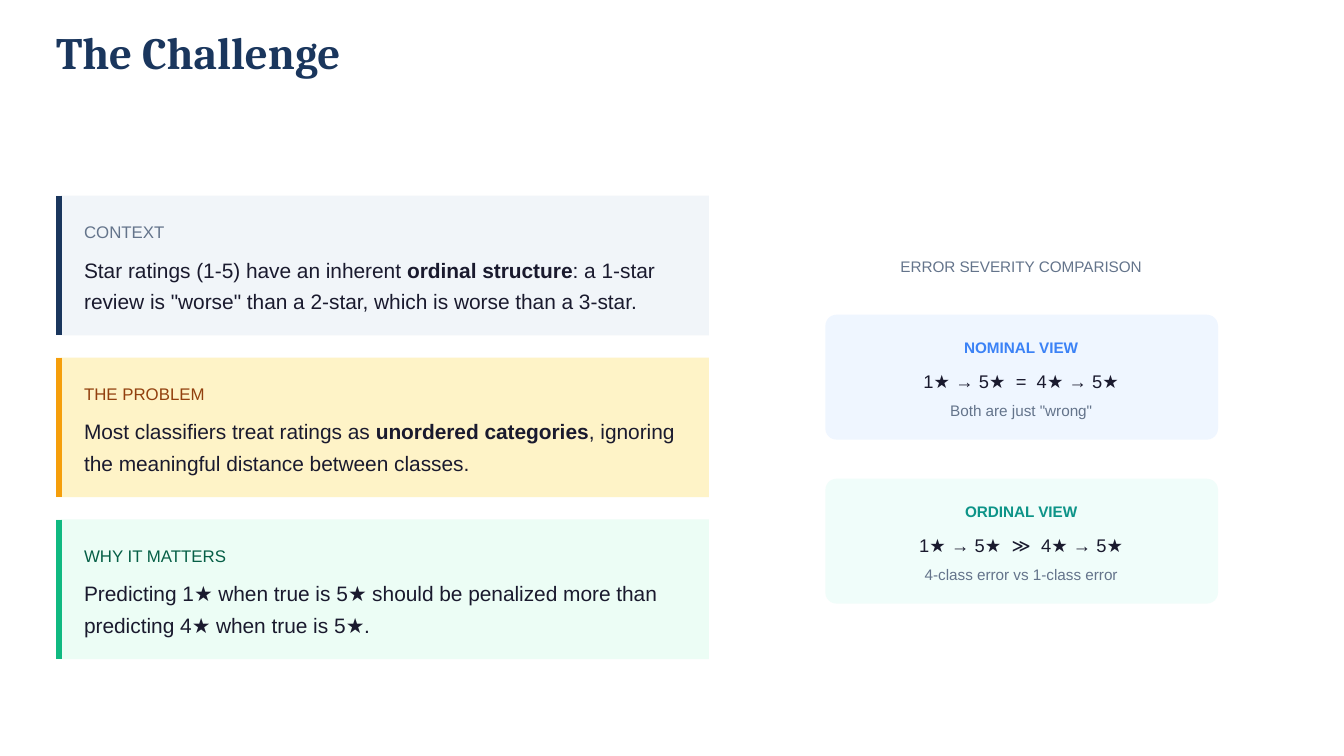
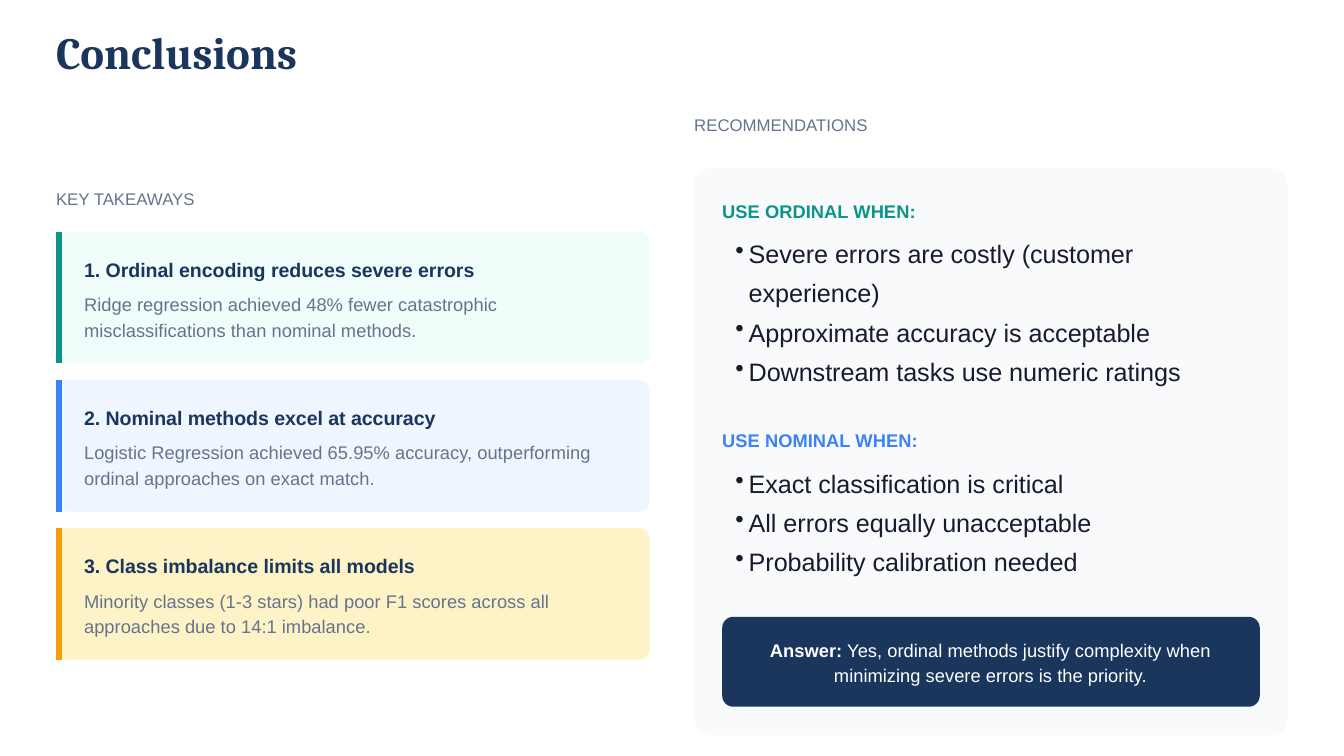
"""Build the challenge and conclusions slides of a talk on ordinal ratings."""
from lxml.etree import SubElement
from pptx import Presentation
from pptx.dml.color import RGBColor as Rgb
from pptx.enum.shapes import MSO_CONNECTOR as Link, MSO_SHAPE as Kind
from pptx.enum.text import PP_ALIGN as Align
from pptx.oxml.ns import qn
from pptx.util import Cm, Pt

NAVY = Rgb(0x1A, 0x36, 0x5D)
INK = Rgb(0x1A, 0x1A, 0x2E)
SLATE = Rgb(0x64, 0x74, 0x8B)
WHITE = Rgb(0xFF, 0xFF, 0xFF)
MIST = Rgb(0xF1, 0xF5, 0xF9)
PEARL = Rgb(0xF8, 0xFA, 0xFC)
AMBER = Rgb(0xF5, 0x9E, 0x0B)
CREAM = Rgb(0xFE, 0xF3, 0xC7)
RUST = Rgb(0x92, 0x40, 0x0E)
GREEN = Rgb(0x10, 0xB9, 0x81)
MINT = Rgb(0xEC, 0xFD, 0xF5)
PINE = Rgb(0x06, 0x5F, 0x46)
BLUE = Rgb(0x3B, 0x82, 0xF6)
SKY = Rgb(0xEF, 0xF6, 0xFF)
TEAL = Rgb(0x0D, 0x94, 0x88)
FOAM = Rgb(0xF0, 0xFD, 0xFA)

TITLE = (24, 24)
LABEL = (9, 12.6)
BODY = (11.2, 16.9)
SMALL = (8.2, 11.6)
NOTE = (9.8, 13.7)
HEAD = (10.5, 14.7)
POINT = (13.5, 21)

LEFT = 1.06
INSET = 1.59
ROUND = 0.21

ISSUES = [
    ("CONTEXT", SLATE, MIST, NAVY,
     ["Star ratings (1-5) have an inherent ", "ordinal structure",
      ": a 1-star review is \"worse\" than a 2-star, which is worse than a 3-star."]),
    ("THE PROBLEM", RUST, CREAM, AMBER,
     ["Most classifiers treat ratings as ", "unordered categories",
      ", ignoring the meaningful distance between classes."]),
    ("WHY IT MATTERS", PINE, MINT, GREEN,
     ["Predicting 1★ when true is 5★ should be penalized more than "
      "predicting 4★ when true is 5★."]),
]
VIEWS = [
    ("NOMINAL VIEW", BLUE, SKY, "1★ → 5★  =  4★ → 5★", "Both are just \"wrong\""),
    ("ORDINAL VIEW", TEAL, FOAM, "1★ → 5★  ≫  4★ → 5★", "4-class error vs 1-class error"),
]
LESSONS = [
    ("1. Ordinal encoding reduces severe errors", FOAM, TEAL,
     "Ridge regression achieved 48% fewer catastrophic misclassifications than nominal methods."),
    ("2. Nominal methods excel at accuracy", SKY, BLUE,
     "Logistic Regression achieved 65.95% accuracy, outperforming ordinal approaches on exact match."),
    ("3. Class imbalance limits all models", CREAM, AMBER,
     "Minority classes (1-3 stars) had poor F1 scores across all approaches due to 14:1 imbalance."),
]
ADVICE = [
    ("USE ORDINAL WHEN:", TEAL, 3.71, 3.18,
     ["Severe errors are costly (customer experience)", "Approximate accuracy is acceptable",
      "Downstream tasks use numeric ratings"]),
    ("USE NOMINAL WHEN:", BLUE, 8.05, 2.44,
     ["Exact classification is critical", "All errors equally unacceptable",
      "Probability calibration needed"]),
]
ANSWER = ["Answer:", " Yes, ordinal methods justify complexity when minimizing severe errors is the priority."]


def frame(slide, box, inset=0):
    """Add an empty text box and return its text frame."""
    text = slide.shapes.add_textbox(*map(Cm, box)).text_frame
    text.word_wrap = True
    text.margin_left = Cm(inset)
    text.margin_right = text.margin_top = text.margin_bottom = 0
    return text


def fill_para(para, runs, style, color, bold=(), font="Arial", align=Align.LEFT, before=0):
    """Write runs into a paragraph, with bold holding the bold run numbers."""
    size, lead = style
    para.alignment, para.line_spacing = align, Pt(lead)
    if before:
        para.space_before = Pt(before)
    for num, words in enumerate(runs):
        run = para.add_run()
        run.text = words
        run.font.name, run.font.size = font, Pt(size)
        run.font.bold = num in bold
        run.font.color.rgb = color


def say(slide, box, runs, style, color, **look):
    """Add a text box with one paragraph."""
    fill_para(frame(slide, box).paragraphs[0], runs, style, color, **look)


def bullets(slide, box, items):
    """Add a bulleted list."""
    text = frame(slide, box, 0.25)
    for num, item in enumerate(items):
        para = text.add_paragraph() if num else text.paragraphs[0]
        fill_para(para, [item], POINT, INK)
        props = para._p.get_or_add_pPr()
        props.set("marL", str(Cm(0.25)))
        props.set("indent", str(-Cm(0.25)))
        SubElement(props, qn("a:buChar")).set("char", "•")


def panel(slide, box, color, radius=0):
    """Add a plain filled panel, rounded when a radius is given."""
    kind = Kind.ROUNDED_RECTANGLE if radius else Kind.RECTANGLE
    shape = slide.shapes.add_shape(kind, *map(Cm, box))
    if radius:
        shape.adjustments[0] = radius / min(box[2:])
    shape.shadow.inherit = False
    shape.fill.solid()
    shape.fill.fore_color.rgb = color
    shape.line.fill.background()


def card(slide, top, width, high, color, edge, radius=0):
    """Add a panel with a coloured left edge."""
    panel(slide, (LEFT, top, width, high), color, radius)
    mid = LEFT + 0.05
    line = slide.shapes.add_connector(Link.STRAIGHT, Cm(mid), Cm(top), Cm(mid), Cm(top + high))
    line.line.color.rgb, line.line.width = edge, Pt(3)
    SubElement(line._element.spPr, qn("a:effectLst"))


def start(deck, title):
    """Add a blank slide with the shared title."""
    slide = deck.slides.add_slide(deck.slide_layouts[6])
    say(slide, (LEFT, 0.64, 11.91, 0.84), [title], TITLE, NAVY, bold=(0,), font="Cambria")
    return slide


def challenge(deck):
    """Build the challenge slide."""
    slide = start(deck, "The Challenge")
    for num, (label, tint, back, edge, runs) in enumerate(ISSUES):
        top = 3.7 + 3.06 * num
        card(slide, top, 12.34, 2.64, back, edge)
        say(slide, (INSET, top + 0.43, 11.61, 0.43), [label], LABEL, tint)
        say(slide, (INSET, top + 1.04, 11.61, 1.19), runs, BODY, INK, bold=(1,))
    mid = Align.CENTER
    say(slide, (16.61, 4.8, 5.38, 0.41), ["ERROR SEVERITY COMPARISON"], SMALL, SLATE, align=mid)
    for num, (label, tint, back, rule, note) in enumerate(VIEWS):
        top = 5.95 + 3.1 * num
        panel(slide, (15.6, top, 7.42, 2.36), back, ROUND)
        say(slide, (16.06, top + 0.38, 6.48, 0.41), [label], SMALL, tint, bold=(0,), align=mid)
        say(slide, (16.06, top + 0.98, 6.48, 0.48), [rule], NOTE, INK, align=mid)
        say(slide, (16.06, top + 1.57, 6.48, 0.41), [note], SMALL, SLATE, align=mid, before=3)


def conclude(deck):
    """Build the conclusions slide."""
    slide = start(deck, "Conclusions")
    say(slide, (LEFT, 3.51, 11.43, 0.43), ["KEY TAKEAWAYS"], LABEL, SLATE)
    for num, (head, back, edge, note) in enumerate(LESSONS):
        top = 4.38 + 2.8 * num
        card(slide, top, 11.22, 2.49, back, edge, ROUND)
        say(slide, (INSET, top + 0.42, 10.46, 0.51), [head], HEAD, NAVY, bold=(0,))
        say(slide, (INSET, top + 1.1, 10.46, 0.97), [note], NOTE, SLATE, before=4.5)
    say(slide, (13.12, 2.11, 11.43, 0.43), ["RECOMMENDATIONS"], LABEL, SLATE)
    panel(slide, (13.12, 3.18, 11.22, 10.72), PEARL, 0.32)
    for head, tint, top, high, items in ADVICE:
        say(slide, (13.65, top, 10.36, 0.48), [head], NOTE, tint, bold=(0,))
        bullets(slide, (13.65, top + 0.63, 10.16, high), items)
    panel(slide, (13.65, 11.66, 10.16, 1.7), NAVY, ROUND)
    say(slide, (13.92, 12.01, 9.6, 0.97), ANSWER, NOTE, WHITE, bold=(0,), align=Align.CENTER)


def main():
    """Build and save the deck."""
    deck = Presentation()
    deck.slide_width, deck.slide_height = Cm(25.4), Cm(14.29)
    challenge(deck)
    conclude(deck)
    deck.save("out.pptx")


if __name__ == "__main__":
    main()
